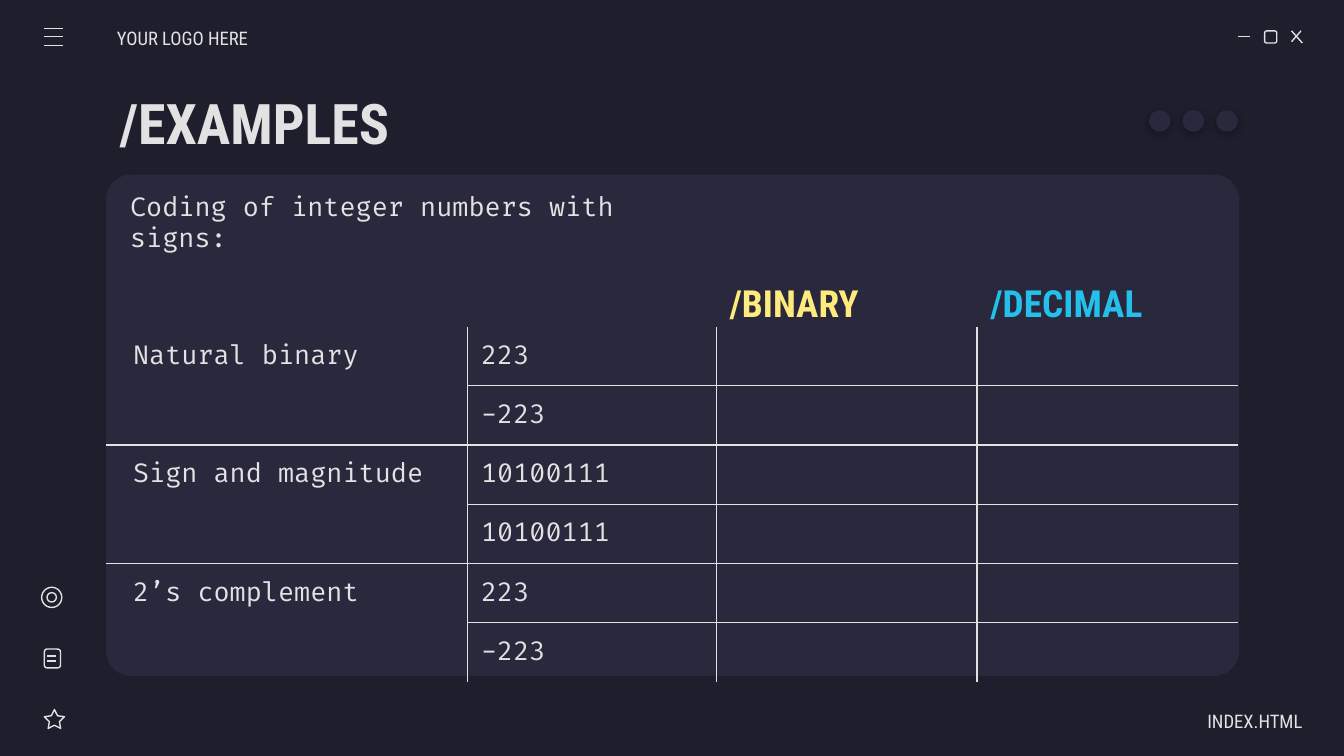
import pptx
import pptx.dml.color
import pptx.enum.shapes
import pptx.enum.text
import pptx.oxml
import pptx.oxml.ns
import pptx.util

Inches = pptx.util.Inches
Pt = pptx.util.Pt
RGBColor = pptx.dml.color.RGBColor
KIND = pptx.enum.shapes.MSO_SHAPE
ALIGN = pptx.enum.text.PP_ALIGN
MIDDLE = pptx.enum.text.MSO_ANCHOR.MIDDLE
NONE = pptx.enum.text.MSO_AUTO_SIZE.NONE

NIGHT = RGBColor(0x1E, 0x1E, 0x2C)
PANEL = RGBColor(0x29, 0x28, 0x3D)
PALE = RGBColor(0xE2, 0xE2, 0xE2)
GOLD = RGBColor(0xFF, 0xEA, 0x7D)
BLUE = RGBColor(0x24, 0xBF, 0xEB)

CODE = {"name": "Fira Code", "size": Pt(14), "bold": False}
SMALL = {"name": "Roboto Condensed", "size": Pt(10), "bold": False}
HEAD = {"name": "Roboto Condensed", "size": Pt(20), "bold": True}
TITLE = {**HEAD, "size": Pt(30)}
NS = pptx.oxml.ns.nsdecls("a")
PLAIN = "{2D5ABB26-0587-4C30-8999-92F81FD0307C}"

WIDE = Inches(10)
HIGH = WIDE * 9 // 16
LEFT, WIDTH = 0.79, 8.43
COLS = [2.69, 1.85, 1.94, 1.94]
ROWS = [
    ("Natural binary", "223"),
    ("", "-223"),
    ("Sign and magnitude", "10100111"),
    ("", "10100111"),
    ("2’s complement", "223"),
    ("", "-223"),
]


def apply(item, form):
    for key, value in form.items():
        setattr(item, key, value)


def add_xml(parent, text):
    node = pptx.oxml.parse_xml(text)
    parent.append(node)
    return node


def place(item, box):
    names = ("left", "top", "width", "height")
    apply(item, dict(zip(names, map(Inches, box))))


def write(box, text, font, color=PALE, align=ALIGN.LEFT, left=0.1, right=0.1):
    frame = box.text_frame
    apply(frame, {
        "text": text, "word_wrap": True, "auto_size": NONE,
        "vertical_anchor": MIDDLE,
        "margin_left": Inches(left), "margin_right": Inches(right),
        "margin_top": Inches(0.1), "margin_bottom": Inches(0.1),
    })
    para = frame.paragraphs[0]
    para.alignment = align
    run = para.runs[0]
    apply(run.font, font)
    run.font.color.rgb = color
    return para


def add_label(slide, box, text, font, color=PALE):
    write(slide.shapes.add_textbox(*map(Inches, box)), text, font, color)


def set_body(holder, box, text, **form):
    place(holder, box)
    para = write(holder, text, SMALL, **form)
    apply(para, {"line_spacing": 1.15, "space_before": Pt(0)})
    props = para._p.get_or_add_pPr()
    props.set("marL", "0")
    props.set("indent", "0")
    add_xml(props, f"<a:buNone {NS}/>")


def add_form(slide, kind, box, fill=None, adjust=()):
    form = slide.shapes.add_shape(kind, *map(Inches, box))
    form.shadow.inherit = False
    for i, value in enumerate(adjust):
        form.adjustments[i] = value
    if fill is None:
        form.fill.background()
        form.line.color.rgb = PALE
        form.line.width = Pt(0.75)
    else:
        form.fill.solid()
        form.fill.fore_color.rgb = fill
        form.line.fill.background()
    return form


def add_line(slide, *ends):
    line = slide.shapes.add_connector(
        pptx.enum.shapes.MSO_CONNECTOR.STRAIGHT, *map(Inches, ends))
    line.line.color.rgb = PALE
    line.line.width = Pt(0.75)
    add_xml(line._element.spPr, f"<a:effectLst {NS}/>")


def add_dot(slide, left):
    dot = add_form(slide, KIND.OVAL, (left, 0.82, 0.16, 0.16), PANEL)
    effects = dot._element.spPr.find(pptx.oxml.ns.qn("a:effectLst"))
    add_xml(effects, f'<a:outerShdw {NS} blurRad="57150" dist="19050" '
            'dir="5400000" algn="bl" rotWithShape="0"><a:srgbClr val="000000">'
            '<a:alpha val="30000"/></a:srgbClr></a:outerShdw>')


def add_icons(slide):
    add_line(slide, 9.21, 0.27, 9.3, 0.27)
    add_form(slide, KIND.ROUNDED_RECTANGLE, (9.41, 0.23, 0.09, 0.09))
    add_line(slide, 9.61, 0.23, 9.69, 0.32)
    add_line(slide, 9.68, 0.23, 9.61, 0.31)
    for y in (0.21, 0.27, 0.34):
        add_line(slide, 0.33, y, 0.47, y)
    add_form(slide, KIND.STAR_5_POINT, (0.33, 5.28, 0.15, 0.14),
             adjust=(0.25, 1.05, 1.11))
    add_form(slide, KIND.ROUNDED_RECTANGLE, (0.33, 4.83, 0.12, 0.14))
    for y in (4.88, 4.92):
        add_line(slide, 0.35, y, 0.42, y)
    for x, y, size in ((0.31, 4.37, 0.15), (0.35, 4.41, 0.07)):
        add_form(slide, KIND.OVAL, (x, y, size, size))


def rule_cell(cell, row, col):
    sides = {
        "L": col > 0,
        "R": col < len(COLS) - 1,
        "T": row > 0 and (col > 0 or row % 2 == 0),
        "B": row < len(ROWS) - 1 and (col > 0 or row % 2 == 1),
    }
    props = cell._tc.get_or_add_tcPr()
    for side, drawn in sides.items():
        paint = (f'<a:solidFill><a:srgbClr val="{PALE}"/></a:solidFill>'
                 if drawn else "<a:noFill/>")
        add_xml(props, f'<a:ln{side} {NS} w="9525">{paint}</a:ln{side}>')
    cell.fill.background()


def fill_cell(cell, text, left):
    apply(cell, {
        "vertical_anchor": MIDDLE,
        "margin_left": Inches(left), "margin_right": Inches(0.1),
        "margin_top": Inches(0.1), "margin_bottom": Inches(0.1),
    })
    run = cell.text_frame.paragraphs[0].add_run()
    run.text = text
    apply(run.font, CODE)
    run.font.color.rgb = PALE


def add_grid(slide):
    box = (LEFT, 2.43, WIDTH, 0.41 * len(ROWS))
    table = slide.shapes.add_table(
        len(ROWS), len(COLS), *map(Inches, box)).table
    apply(table, {"first_row": False, "horz_banding": False})
    table._tbl.tblPr.find(pptx.oxml.ns.qn("a:tableStyleId")).text = PLAIN
    for col, width in zip(table.columns, COLS):
        col.width = Inches(width)
    for r, texts in enumerate(ROWS):
        table.rows[r].height = Inches(0.41)
        for c in range(len(COLS)):
            cell = table.cell(r, c)
            rule_cell(cell, r, c)
            if c < len(texts) and texts[c]:
                fill_cell(cell, texts[c], 0.1 if c else 0.2)


def main():
    deck = pptx.Presentation()
    apply(deck, {"slide_width": WIDE, "slide_height": HIGH})
    slide = deck.slides.add_slide(deck.slide_layouts.get_by_name("Two Content"))
    slide.background.fill.solid()
    slide.background.fill.fore_color.rgb = NIGHT
    title, top, foot = slide.placeholders
    place(title, (LEFT, 0.59, 7.88, 0.63))
    write(title, "/EXAMPLES", TITLE)
    set_body(top, (0.87, 0.12, 1.17, 0.3), "YOUR LOGO HERE", left=0)
    set_body(foot, (8.52, 5.2, 1.17, 0.3), "INDEX.HTML",
             align=ALIGN.RIGHT, right=0)
    add_form(slide, KIND.ROUNDED_RECTANGLE, (LEFT, 1.3, WIDTH, 3.73),
             PANEL, (0.05,))
    add_icons(slide)
    add_grid(slide)
    for i in range(3):
        add_dot(slide, 8.55 + 0.25 * i)
    add_label(slide, (5.33, 2.08, 1.85, 0.35), "/BINARY", HEAD, GOLD)
    add_label(slide, (7.27, 2.08, 1.85, 0.35), "/DECIMAL", HEAD, BLUE)
    add_label(slide, (0.87, 1.5, 4.63, 0.3),
              "Coding of integer numbers with signs:", CODE)
    deck.save("out.pptx")


if __name__ == "__main__":
    main()
